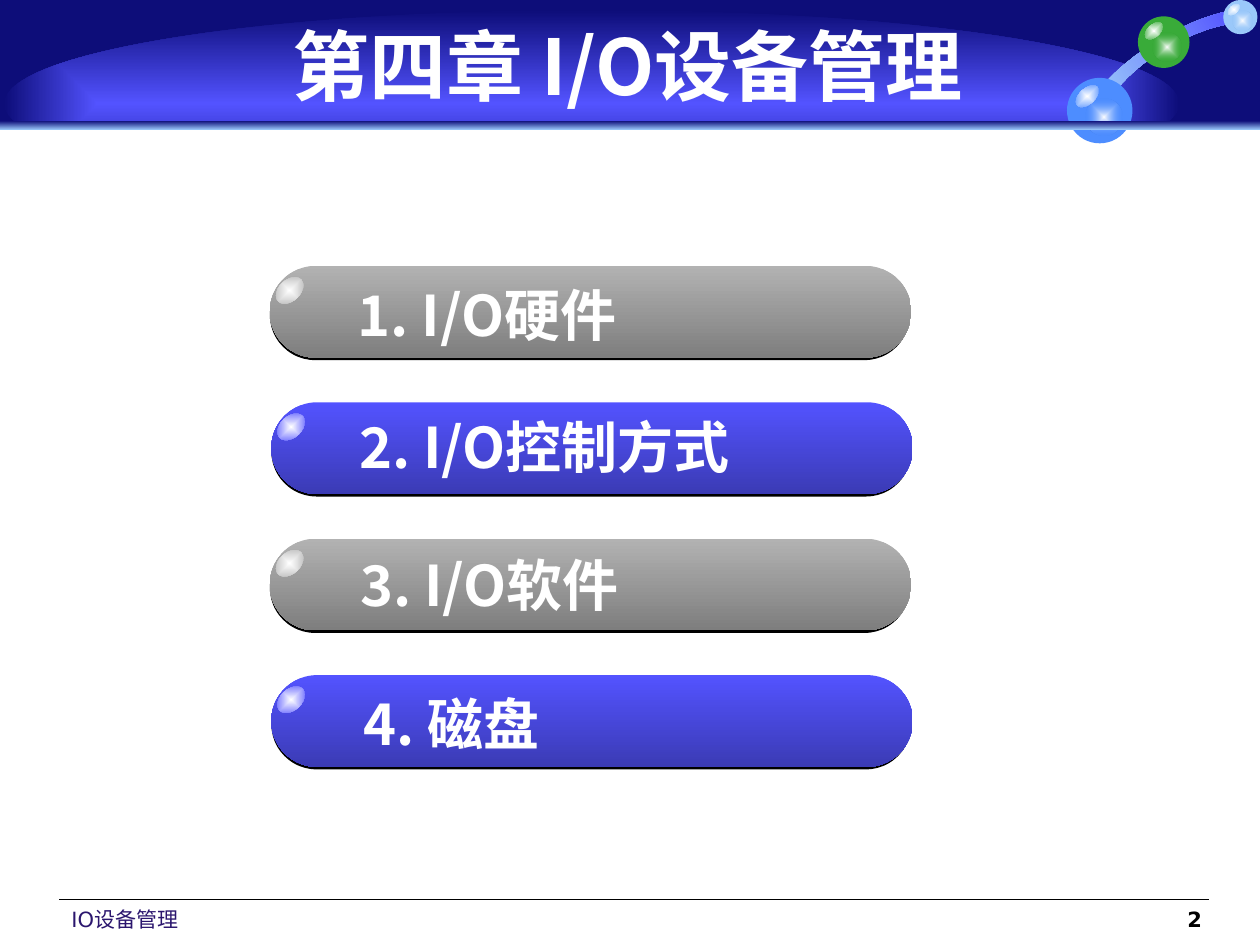
from lxml.etree import SubElement
from pptx import Presentation
from pptx.dml.color import RGBColor
from pptx.enum.shapes import MSO_CONNECTOR, MSO_SHAPE
from pptx.enum.text import MSO_ANCHOR, MSO_AUTO_SIZE, PP_ALIGN
from pptx.oxml.ns import qn
from pptx.util import Cm, Pt

NAVY, BLUE, SKY = "0D0D79", "5353FF", "9AC8FA"
WHITE, BLACK, GRAY = "FFFFFF", "000000", "B2B2B2"
CJK, LATIN = "Noto Sans CJK SC", "DejaVu Sans"
GLINT_ANGLE = 317.2


def color(hex_string):
    return RGBColor.from_string(hex_string)


def set_gradient(shape, start, end, angle=None, end_effect=None):
    """Linear when an angle is given, otherwise spreading from the centre."""
    shape.fill.gradient()
    grad = shape._element.spPr.find(qn("a:gradFill"))
    for child in list(grad):
        grad.remove(child)
    stops = SubElement(grad, qn("a:gsLst"))
    for position, hex_string in ((0, start), (100000, end)):
        stop = SubElement(stops, qn("a:gs"), pos=str(position))
        stop_color = SubElement(stop, qn("a:srgbClr"), val=hex_string)
    if end_effect:
        effect, value = end_effect
        SubElement(stop_color, qn(f"a:{effect}"), val=str(value * 1000))
    if angle is None:
        center = SubElement(grad, qn("a:path"), path="shape")
        SubElement(center, qn("a:fillToRect"),
                   {side: "50000" for side in "ltrb"})
    else:
        SubElement(grad, qn("a:lin"), ang=str(angle * 60000), scaled="1")


def finish(shape, fill=None):
    shape.shadow.inherit = False
    shape.line.fill.background()
    if fill:
        shape.fill.solid()
        shape.fill.fore_color.rgb = color(fill)
    return shape


def add_part(slide, kind, left, top, width, height, fill=None):
    return finish(slide.shapes.add_shape(
        kind, Cm(left), Cm(top), Cm(width), Cm(height)), fill)


def add_glint(slide, left, top, width, height, base):
    glint = add_part(slide, MSO_SHAPE.OVAL, left, top, width, height)
    glint.rotation = GLINT_ANGLE
    set_gradient(glint, WHITE, base)


def write(shape, text, size, font_name, hex_string, bold=False,
          align=PP_ALIGN.LEFT, anchor=MSO_ANCHOR.TOP):
    frame = shape.text_frame
    frame.word_wrap = True
    frame.auto_size = MSO_AUTO_SIZE.NONE
    frame.vertical_anchor = anchor
    paragraph = frame.paragraphs[0]
    paragraph.text = text
    paragraph.alignment = align
    font = paragraph.font
    font.size, font.bold, font.name = Pt(size), bold, font_name
    font.color.rgb = color(hex_string)
    SubElement(font._rPr, qn("a:ea"), typeface=CJK)


def add_label(slide, left, top, width, height, *args, **kwargs):
    box = slide.shapes.add_textbox(Cm(left), Cm(top), Cm(width), Cm(height))
    write(box, *args, **kwargs)


def curve(p0, p1, p2, p3, steps=16):
    """Points along a cubic curve, without its first one."""
    for step in range(1, steps + 1):
        t = step / steps
        u = 1 - t
        yield tuple(u**3 * a + 3 * u * u * t * b + 3 * u * t * t * c + t**3 * d
                    for a, b, c, d in zip(p0, p1, p2, p3))


def add_swoosh(slide, left, top):
    outer = [(2.59, 0.3), (2.21, 0.38), (1.78, 0.56), (1.37, 0.79)]
    inner = [(0.97, 1.04), (0.61, 1.35), (0.38, 1.65)]
    back = [(0, 1.68), (0.3, 1.3), (0.74, 0.91), (1.27, 0.61)]
    tip = [(1.78, 0.28), (2.34, 0.08), (2.79, 0)]
    points = [outer[0], *curve(*outer), *curve(outer[-1], *inner),
              back[0], *curve(*back), *curve(back[-1], *tip)]
    points = [(Cm(left + x), Cm(top + y)) for x, y in points]
    builder = slide.shapes.build_freeform(*points[0])
    builder.add_line_segments(points[1:], close=True)
    swoosh = finish(builder.convert_to_shape())
    set_gradient(swoosh, SKY, BLUE, angle=329)


def add_ball(slide, left, top, size, base):
    add_part(slide, MSO_SHAPE.OVAL, left, top, size, size, base)
    glow = add_part(slide, MSO_SHAPE.OVAL, left + 0.28 * size,
                    top + 0.32 * size, 0.56 * size, 0.56 * size)
    set_gradient(glow, WHITE, base, end_effect=("alpha", 0))
    add_glint(slide, left + 0.1 * size, top + 0.16 * size,
              0.42 * size, 0.24 * size, base)


def add_header(slide, left, top, width, height, title_text):
    # Banner with its dome cut off at the lower edge
    add_part(slide, MSO_SHAPE.RECTANGLE, left, top, width, height, NAVY)
    dome = add_part(slide, MSO_SHAPE.OVAL, left + 0.08, top + 0.2, 23.7, 3.78)
    set_gradient(dome, BLUE, NAVY)
    add_part(slide, MSO_SHAPE.RECTANGLE, left, top + height - 0.03,
             width, 14.88, WHITE)
    # Swoosh and balls
    add_swoosh(slide, left + 22.1, top + 0.2)
    for x, y, size, base in ((22.94, 0.33, 1.04, "39AB39"),
                             (21.51, 1.57, 1.32, "4D8DFF"),
                             (24.66, 0, 0.69, SKY)):
        add_ball(slide, left + x, top + y, size, base)
    # Lower edge
    edge = add_part(slide, MSO_SHAPE.RECTANGLE, left, top + height - 0.1,
                    width, 0.18)
    set_gradient(edge, NAVY, SKY, angle=90)
    # Title, brought in front of the banner
    title = slide.shapes.title
    title.left, title.top = Cm(left + 0.74), Cm(top + 0.53)
    title.width, title.height = Cm(23.83), Cm(1.83)
    write(title, title_text, 44, CJK, WHITE, bold=True,
          align=PP_ALIGN.CENTER, anchor=MSO_ANCHOR.BOTTOM)
    slide.shapes._spTree.append(title._element)


def add_pill(slide, left, top, width, height, base, text, text_dx, text_dy):
    add_part(slide, MSO_SHAPE.ROUNDED_RECTANGLE, left, top + 0.08,
             width - 0.03, height - 0.03, BLACK).adjustments[0] = 0.5
    face = add_part(slide, MSO_SHAPE.ROUNDED_RECTANGLE,
                    left, top, width, height)
    face.adjustments[0] = 0.5
    set_gradient(face, base, base, angle=90, end_effect=("shade", 46))
    add_glint(slide, left + 0.08, top + 0.28, 0.64, 0.43, base)
    add_label(slide, left + text_dx, top + text_dy, width - 2.2, 1.12,
              text, 32, CJK, WHITE, bold=True, anchor=MSO_ANCHOR.MIDDLE)


def add_agenda(slide, left, top, width, pitch):
    sections = (("1. I/O硬件", 1.52, 0.41), ("2. I/O控制方式", 1.52, 0.33),
                ("3. I/O软件", 1.57, 0.36), ("4. 磁盘", 1.6, 0.41))
    for row, (text, text_dx, text_dy) in enumerate(sections):
        odd = row % 2
        add_pill(slide, left + 0.03 * odd, top + row * pitch, width, 1.85,
                 BLUE if odd else GRAY, text, text_dx, text_dy)


def add_footer(slide, left, top, width, text, page):
    rule = slide.shapes.add_connector(MSO_CONNECTOR.STRAIGHT, Cm(left), Cm(top),
                                      Cm(left + width), Cm(top))
    rule.line.color.rgb = color(BLACK)
    rule.line.width = Pt(0.75)
    SubElement(rule._element.spPr, qn("a:effectLst"))
    add_label(slide, left, top + 0.03, 8.05, 0.84, text, 12, LATIN, "2B166E")
    add_label(slide, left + width - 5.82, top + 0.03, 5.92, 0.84, page,
              12, LATIN, BLACK, bold=True, align=PP_ALIGN.RIGHT)


def main():
    deck = Presentation()
    deck.slide_width, deck.slide_height = Cm(25.4), Cm(19.05)
    slide = deck.slides.add_slide(deck.slide_layouts[5])
    add_header(slide, 0, 0, 25.4, 2.54, "第四章 I/O设备管理")
    add_agenda(slide, 5.44, 5.36, 12.93, 2.75)
    add_footer(slide, 1.19, 18.13, 23.19, "IO设备管理", "2")
    deck.save("out.pptx")


if __name__ == "__main__":
    main()
